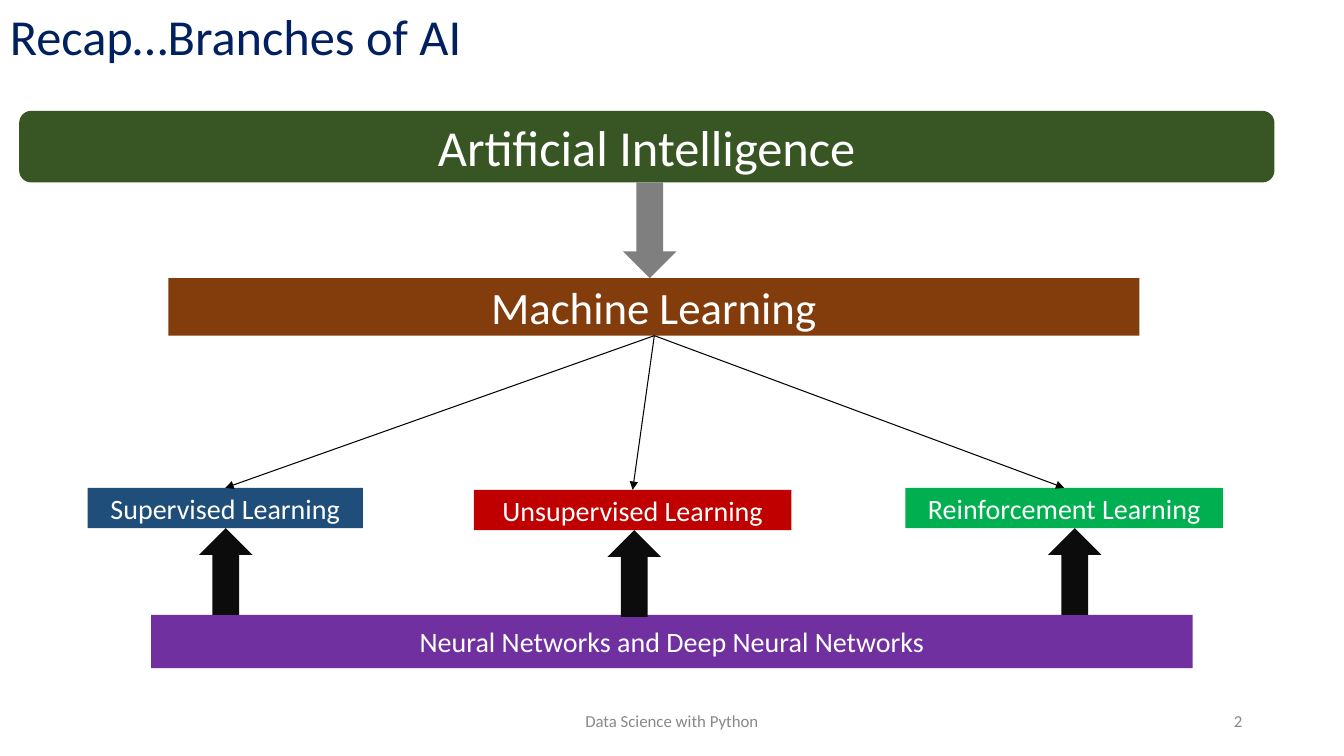
from lxml.etree import SubElement
from pptx import Presentation
from pptx.dml.color import RGBColor
from pptx.enum.shapes import MSO_CONNECTOR, MSO_SHAPE
from pptx.enum.text import MSO_ANCHOR, PP_ALIGN
from pptx.oxml.ns import qn
from pptx.util import Inches, Pt

WIDTH, HEIGHT = 13.33, 7.5
ARROW_WIDTH = 0.53
BRANCH_HEIGHT = 0.4
BRANCHES = [
    ("Supervised Learning", "1E4E79", 0.87, 0, 2.73, 2.24),
    ("Unsupervised Learning", "C00000", 4.7, 0.02, 3.15, 6.29),
    ("Reinforcement Learning", "00B050", 8.98, 0, 3.15, 10.66),
]


def color(value):
    """Turn a hex string into a colour."""
    return RGBColor.from_string(value)


def write(shape, text, size=20, fill="FFFFFF", align=PP_ALIGN.CENTER, anchor=MSO_ANCHOR.MIDDLE):
    """Put one formatted line of text in a shape."""
    frame = shape.text_frame
    frame.word_wrap = True
    frame.vertical_anchor = anchor
    para = frame.paragraphs[0]
    para.alignment = align
    span = para.add_run()
    span.text = text
    span.font.name = "Calibri"
    span.font.size = Pt(size)
    span.font.color.rgb = color(fill)


def add_label(page, box, text, **style):
    """Add a text box."""
    write(page.shapes.add_textbox(*map(Inches, box)), text, **style)


def add_block(page, box, fill, kind=MSO_SHAPE.RECTANGLE):
    """Add a plain filled shape."""
    shape = page.shapes.add_shape(kind, *map(Inches, box))
    shape.shadow.inherit = False
    shape.fill.solid()
    shape.fill.fore_color.rgb = color(fill)
    shape.line.fill.background()
    return shape


def add_link(page, start, end):
    """Add a thin line with an arrowhead at its end."""
    link = page.shapes.add_connector(MSO_CONNECTOR.STRAIGHT, *map(Inches, start + end))
    link.line.color.rgb = color("000000")
    link.line.width = Pt(0.75)
    SubElement(link.line._get_or_add_ln(), qn("a:tailEnd"), type="triangle")
    SubElement(link._element.spPr, qn("a:effectLst"))


def add_frame(page, box):
    """Add the title, the footer and the page number."""
    left, top, width, height = box
    add_label(page, (left, top, 4.76, 0.71), "Recap…Branches of AI",
              size=36, fill="002060", align=PP_ALIGN.LEFT, anchor=MSO_ANCHOR.TOP)
    footer_top = top + height - 0.55
    add_label(page, (left + (width - 4.5) / 2, footer_top, 4.5, 0.4),
              "Data Science with Python", size=12, fill="888888")
    add_label(page, (left + width - 3.91, footer_top, 3, 0.4), "2",
              size=12, fill="888888", align=PP_ALIGN.RIGHT)


def add_fields(page, box):
    """Add the two upper bars joined by a block arrow."""
    left, top, width, height = box
    bar_height, learning_height = 0.71, 0.57
    learning_top = top + height - learning_height
    bar = add_block(page, (left, top, width, bar_height), "385623", MSO_SHAPE.ROUNDED_RECTANGLE)
    write(bar, "Artificial Intelligence", size=36)
    learning = add_block(page, (left + 1.48, learning_top, 9.63, learning_height), "833C0B")
    write(learning, "Machine Learning", size=32)
    arrow_top = top + bar_height
    add_block(page, (left + 5.99, arrow_top, ARROW_WIDTH, learning_top - arrow_top),
              "7F7F7F", MSO_SHAPE.DOWN_ARROW)


def add_branches(page, box, root):
    """Add the base bar and the branches, with links from the root."""
    left, top, width, height = box
    base_height, arrow_height = 0.53, 0.86
    base = add_block(page, (left + 0.63, top + height - base_height, 10.33, base_height), "7030A0")
    write(base, "Neural Networks and Deep Neural Networks")
    for text, fill, branch_left, drop, branch_width, arrow_center in BRANCHES:
        branch_top = top + drop
        branch = add_block(page, (branch_left, branch_top, branch_width, BRANCH_HEIGHT), fill)
        write(branch, text)
        add_link(page, root, (branch_left + branch_width / 2, branch_top))
        add_block(page, (arrow_center - ARROW_WIDTH / 2, branch_top + BRANCH_HEIGHT,
                         ARROW_WIDTH, arrow_height), "0C0C0C", MSO_SHAPE.UP_ARROW)


def main():
    """Build and save the deck."""
    deck = Presentation()
    deck.slide_width, deck.slide_height = Inches(WIDTH), Inches(HEIGHT)
    page = deck.slides.add_slide(deck.slide_layouts[6])
    add_frame(page, (0, 0, WIDTH, HEIGHT))
    add_fields(page, (0.19, 1.1, 12.45, 2.23))
    add_branches(page, (0.87, 4.84, 11.26, 1.79), root=(6.49, 3.33))
    deck.save("out.pptx")


if __name__ == "__main__":
    main()
